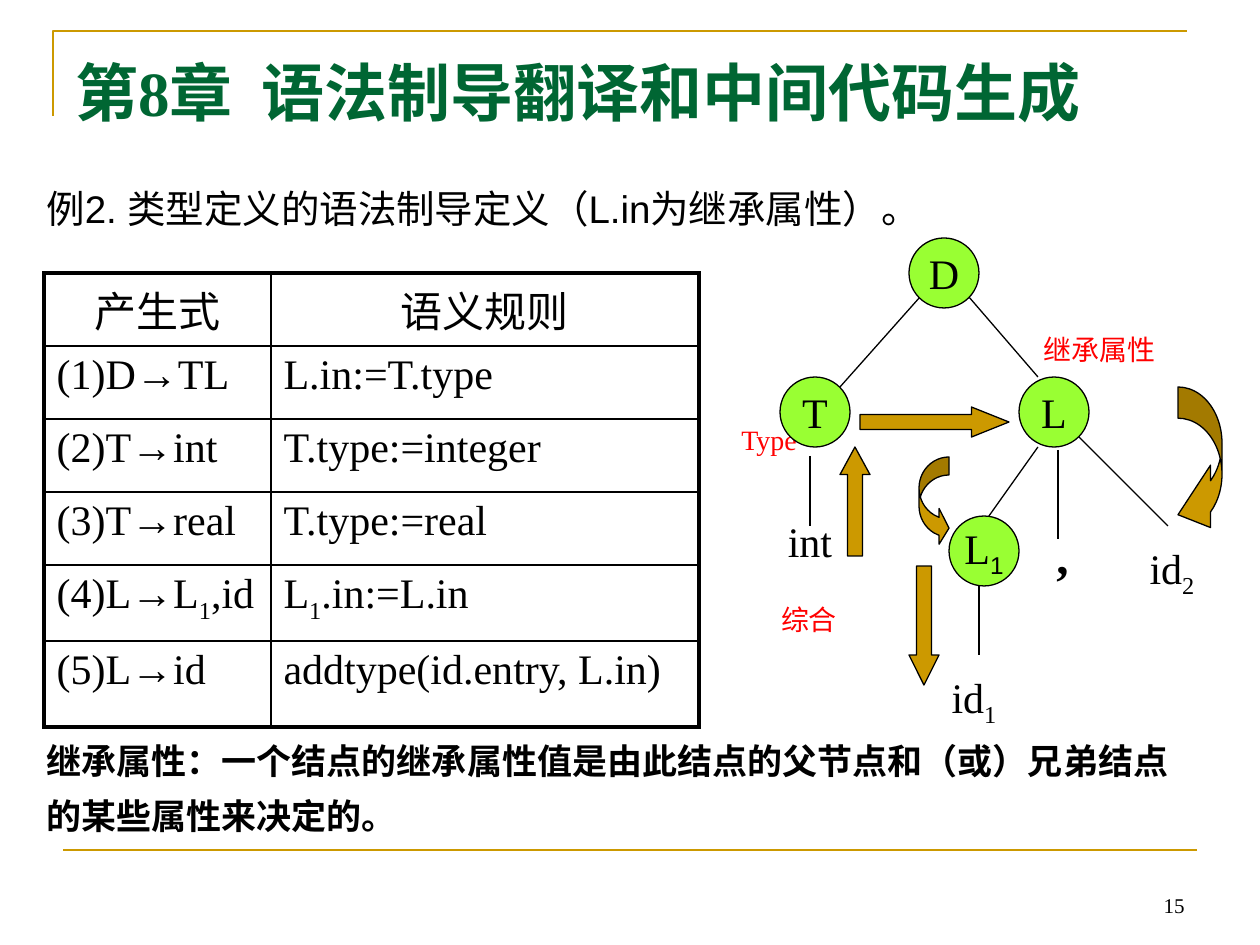
import pptx
import pptx.util
from lxml import etree
from pptx.dml.color import RGBColor
from pptx.enum.shapes import MSO_CONNECTOR, MSO_SHAPE
from pptx.enum.text import MSO_ANCHOR, PP_ALIGN
from pptx.oxml.ns import qn

PX = 914400 / 126  # EMU in one px


class Theme:
    black, red, green = "000000", "FF0000", "006633"
    gold, lime = "CC9900", "99FF33"
    serif, sans, chinese = "Times New Roman", "Arial", "Noto Sans CJK SC"
    title, comma, diagram, body, note, label, page = 36, 28, 24, 22, 20, 16, 12
    thin, table_inner, rule, table_outer = 0.75, 1, 1.5, 2.25


# Content: a string, or a list of (text, options) runs
TITLE = [("第", {"font": Theme.chinese}), ("8", {}),
         ("章  语法制导翻译和中间代码生成", {"font": Theme.chinese})]
EXAMPLE = "例2. 类型定义的语法制导定义（L.in为继承属性）。"
NOTE = "继承属性：一个结点的继承属性值是由此结点的父节点和（或）兄弟结点的某些属性来决定的。"
PAGE = "15"
SUB = {"sub": True}

GRAMMAR = [
    ("产生式", "语义规则"),
    ("(1)D→TL", "L.in:=T.type"),
    ("(2)T→int", "T.type:=integer"),
    ("(3)T→real", "T.type:=real"),
    ([("(4)L→L", {}), ("1", SUB), (",id", {})],
     [("L", {}), ("1", SUB), (".in:=L.in", {})]),
    ("(5)L→id", "addtype(id.entry, L.in)"),
]
COLUMNS = [227, 428]
ROWS = [73, 73, 73, 73, 76, 86]

# Syntax tree: circles (text, left, top)
DIAMETER = 70
NODES = [
    ("D", 909, 238), ("T", 780, 377), ("L", 1019, 377),
    ([("L", {}), ("1", {"sub": True, "font": Theme.sans})], 949, 516),
]
EDGES = [
    (920, 297, 840, 387), (969, 297, 1038, 377), (1038, 447, 989, 516),
    (1079, 437, 1168, 526), (979, 586, 979, 655), (810, 456, 810, 526),
    (1058, 450, 1058, 539),
]
LEAVES = [
    ("int", 768, 509, 84, 63),
    ([("id", {}), ("1", SUB)], 932, 665, 84, 63),
    ([("id", {}), ("2", SUB)], 1130, 536, 84, 63),
]
LABELS = [
    ("Type", 722, 416, 94, 47),
    ("继承属性", 1026, 326, 147, 47),
    ("综合", 763, 596, 92, 47),
]
ARROWS = [
    (MSO_SHAPE.CURVED_LEFT_ARROW, (1178, 387, 44, 159), (0.71, 1.42, 0.74)),
    (MSO_SHAPE.RIGHT_ARROW, (860, 407, 149, 30), (0.5, 1.25)),
    (MSO_SHAPE.UP_ARROW, (840, 447, 30, 109), (0.5, 0.92)),
    (MSO_SHAPE.DOWN_ARROW, (909, 566, 30, 119), (0.5, 1)),
    (MSO_SHAPE.CURVED_RIGHT_ARROW, (919, 457, 30, 89), (0.6, 1.19, 0.33)),
]


def emu(*lengths):
    return [round(length * PX) for length in lengths]


def color(value):
    return RGBColor.from_string(value)


def write(frame, content, size, font=Theme.serif, fill=Theme.black, bold=False,
          align=PP_ALIGN.LEFT, anchor=MSO_ANCHOR.TOP, wrap=True):
    frame.word_wrap = wrap
    frame.vertical_anchor = anchor
    paragraph = frame.paragraphs[0]
    paragraph.alignment = align
    for text, options in [(content, {})] if isinstance(content, str) else content:
        run = paragraph.add_run()
        run.text = text
        run.font.name = options.get("font", font)
        run.font.size = pptx.util.Pt(size)
        run.font.bold = bold
        run.font.color.rgb = color(fill)
        properties = run.font._element
        east_asian = etree.SubElement(properties, qn("a:ea"))
        east_asian.set("typeface", Theme.chinese)
        if options.get("sub"):
            properties.set("baseline", "-25000")
    return paragraph


def add_text(slide, content, box, size, **style):
    shape = slide.shapes.add_textbox(*emu(*box))
    return write(shape.text_frame, content, size, **style)


def add_line(slide, ends, stroke=Theme.black, width=Theme.thin):
    line = slide.shapes.add_connector(MSO_CONNECTOR.STRAIGHT, *emu(*ends))
    line.line.color.rgb = color(stroke)
    line.line.width = pptx.util.Pt(width)
    etree.SubElement(line._element.spPr, qn("a:effectLst"))


def add_filled(slide, kind, box, fill):
    shape = slide.shapes.add_shape(kind, *emu(*box))
    shape.shadow.inherit = False
    shape.fill.solid()
    shape.fill.fore_color.rgb = color(fill)
    shape.line.color.rgb = color(Theme.black)
    shape.line.width = pptx.util.Pt(Theme.thin)
    return shape


def set_borders(cell, outer_sides):
    properties = cell._tc.get_or_add_tcPr()
    for index, side in enumerate("LRTB"):
        width = Theme.table_outer if side in outer_sides else Theme.table_inner
        border = etree.Element(qn(f"a:ln{side}"), w=str(pptx.util.Pt(width)))
        fill = etree.SubElement(border, qn("a:solidFill"))
        etree.SubElement(fill, qn("a:srgbClr"), val=Theme.black)
        properties.insert(index, border)


def add_grammar(slide):
    box = emu(44, 273, sum(COLUMNS), sum(ROWS))
    table = slide.shapes.add_table(len(ROWS), len(COLUMNS), *box).table
    for column, width in zip(table.columns, emu(*COLUMNS)):
        column.width = width
    for row, height in zip(table.rows, emu(*ROWS)):
        row.height = height
    last_row, last_column = len(ROWS) - 1, len(COLUMNS) - 1
    for r, contents in enumerate(GRAMMAR):
        for c, content in enumerate(contents):
            cell = table.cell(r, c)
            cell.fill.background()
            write(cell.text_frame, content, Theme.diagram,
                  align=PP_ALIGN.LEFT if r else PP_ALIGN.CENTER)
            outer = {"L": c == 0, "R": c == last_column,
                     "T": r == 0, "B": r == last_row}
            set_borders(cell, [side for side in outer if outer[side]])


def add_tree(slide):
    centered = {"align": PP_ALIGN.CENTER, "wrap": False}
    for content, *box in LABELS:
        add_text(slide, content, box, Theme.label, fill=Theme.red, **centered)
    for content, *box in LEAVES:
        add_text(slide, content, box, Theme.diagram, **centered)
    add_text(slide, ",", (1038, 519, 49, 72), Theme.comma, bold=True,
             align=PP_ALIGN.CENTER)
    for ends in EDGES:
        add_line(slide, ends)
    for content, left, top in NODES:
        node = add_filled(slide, MSO_SHAPE.OVAL,
                          (left, top, DIAMETER, DIAMETER), Theme.lime)
        write(node.text_frame, content, Theme.diagram,
              anchor=MSO_ANCHOR.MIDDLE, **centered)
    for kind, box, adjustments in ARROWS:
        arrow = add_filled(slide, kind, box, Theme.gold)
        for index, value in enumerate(adjustments):
            arrow.adjustments[index] = value


def add_frame(slide):
    builder = slide.shapes.build_freeform(*emu(53, 116))
    builder.add_line_segments([emu(53, 31), emu(1187, 31)], close=False)
    corner = builder.convert_to_shape()
    corner.shadow.inherit = False
    corner.fill.background()
    corner.line.color.rgb = color(Theme.gold)
    corner.line.width = pptx.util.Pt(Theme.rule)
    add_line(slide, (63, 850, 1197, 850), Theme.gold, Theme.rule)


def main():
    presentation = pptx.Presentation()
    presentation.slide_width, presentation.slide_height = emu(1260, 945)
    slide = presentation.slides.add_slide(presentation.slide_layouts[6])

    # Frame, title and page number
    add_frame(slide)
    add_text(slide, TITLE, (63, 38, 1134, 107), Theme.title, fill=Theme.green,
             bold=True, anchor=MSO_ANCHOR.MIDDLE)
    add_text(slide, PAGE, (903, 861, 294, 63), Theme.page,
             align=PP_ALIGN.RIGHT, anchor=MSO_ANCHOR.BOTTOM)

    # Example and note, both loosely spaced
    example = add_text(slide, EXAMPLE, (34, 165, 1111, 79), Theme.body,
                       font=Theme.sans)
    note = add_text(slide, NOTE, (34, 721, 1163, 122), Theme.note, bold=True)
    for paragraph, size in ((example, Theme.body), (note, Theme.note)):
        paragraph.line_spacing = 1.3
        paragraph.space_before = pptx.util.Pt(size * 0.2)

    # Grammar table and syntax tree
    add_grammar(slide)
    add_tree(slide)
    presentation.save("out.pptx")


if __name__ == "__main__":
    main()
